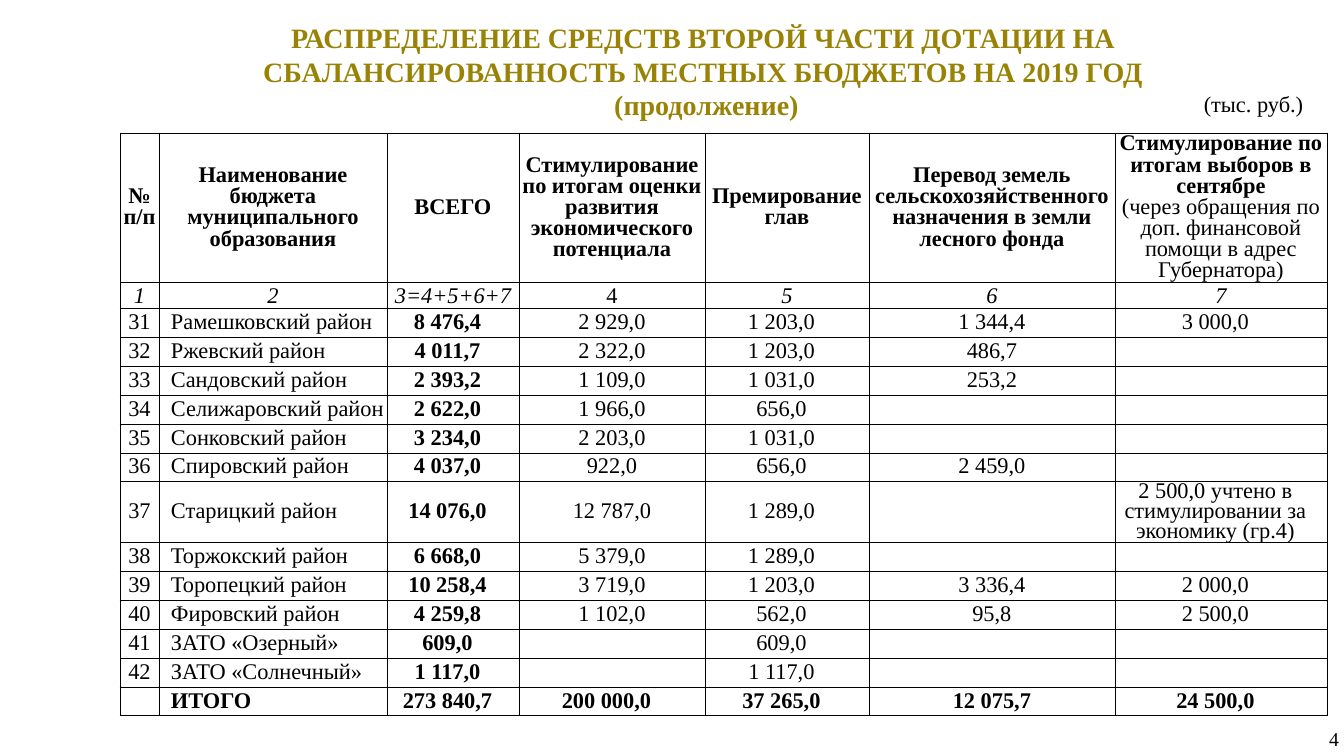
from lxml.etree import SubElement as Sub
from pptx import Presentation
from pptx.dml.color import RGBColor
from pptx.enum.shapes import MSO_SHAPE as Shape
from pptx.enum.text import MSO_ANCHOR as Anchor, PP_ALIGN as Align
from pptx.oxml.ns import qn
from pptx.util import Emu, Pt

HEADS = [
    ["№ п/п"],
    ["Наименование бюджета муниципального образования"],
    ["ВСЕГО"],
    ["Стимулирование по итогам оценки развития экономического потенциала"],
    ["Премирование глав"],
    ["Перевод земель сельскохозяйственного назначения в земли лесного фонда"],
    ["Стимулирование по итогам выборов в сентябре",
     "(через обращения по доп. финансовой помощи в адрес Губернатора)"],
]
MARKS = ["1", "2", "3=4+5+6+7", "4", "5", "6", "7"]
NOTE = "2 500,0 учтено в стимулировании за экономику (гр.4)"
ROWS = [
    ["31", "Рамешковский район", "8 476,4", "2 929,0", "1 203,0", "1 344,4", "3 000,0"],
    ["32", "Ржевский район", "4 011,7", "2 322,0", "1 203,0", "486,7", ""],
    ["33", "Сандовский район", "2 393,2", "1 109,0", "1 031,0", "253,2", ""],
    ["34", "Селижаровский район", "2 622,0", "1 966,0", "656,0", "", ""],
    ["35", "Сонковский район", "3 234,0", "2 203,0", "1 031,0", "", ""],
    ["36", "Спировский район", "4 037,0", "922,0", "656,0", "2 459,0", ""],
    ["37", "Старицкий район", "14 076,0", "12 787,0", "1 289,0", "", NOTE],
    ["38", "Торжокский район", "6 668,0", "5 379,0", "1 289,0", "", ""],
    ["39", "Торопецкий район", "10 258,4", "3 719,0", "1 203,0", "3 336,4", "2 000,0"],
    ["40", "Фировский район", "4 259,8", "1 102,0", "562,0", "95,8", "2 500,0"],
    ["41", "ЗАТО «Озерный»", "609,0", "", "609,0", "", ""],
    ["42", "ЗАТО «Солнечный»", "1 117,0", "", "1 117,0", "", ""],
    ["", "ИТОГО", "273 840,7", "200 000,0", "37 265,0", "12 075,7", "24 500,0"],
]
WIDTHS = [39, 228, 132, 186, 164, 246, 212]
SIX = [29] * 5 + [28]
HEIGHTS = [149, 25] + SIX + [61] + SIX


def px(n):
    """Turn pixels into EMU."""
    return Emu(round(n * 914400 / 100.8))


def tint(code):
    """Turn a hex string into a colour."""
    return RGBColor.from_string(code)


class Deck:
    """Hold the style and the current slide."""

    face = "Times New Roman"
    ink = "000000"
    paper = "FFFFFF"
    gold = "998307"

    def __init__(self):
        """Open a deck with one title-only slide."""
        self.deck = Presentation()
        self.deck.slide_width, self.deck.slide_height = px(1344), px(756)
        self.slide = self.deck.slides.add_slide(self.deck.slide_layouts[5])

    def put(self, frame, lines, size, color=ink, align=Align.CENTER, lead=1.0):
        """Put lines of (text, bold, italic) into a frame as paragraphs."""
        for i, (text, bold, slant) in enumerate(lines):
            para = frame.add_paragraph() if i else frame.paragraphs[0]
            para.alignment, para.line_spacing = align, lead
            if not text:
                para._p.get_or_add_endParaRPr().set("sz", str(size * 100))
                continue
            run = para.add_run()
            run.text = text
            font = run.font
            font.name, font.size = self.face, Pt(size)
            font.bold, font.italic = bold, slant
            font.color.rgb = tint(color)

    def fit(self, frame, side):
        """Wrap the frame, centre it vertically and set its margins."""
        frame.word_wrap = True
        frame.vertical_anchor = Anchor.MIDDLE
        frame.margin_left = frame.margin_right = px(side)
        frame.margin_top = frame.margin_bottom = px(5)

    def title(self, box, lines):
        """Place and fill the title."""
        head = self.slide.shapes.title
        head.left, head.top, head.width, head.height = map(px, box)
        self.fit(head.text_frame, 14)
        self.put(head.text_frame, [(s, True, False) for s in lines], 20, self.gold)

    def label(self, box, text, size):
        """Add a plain white box with centred text."""
        rect = self.slide.shapes.add_shape(Shape.RECTANGLE, *map(px, box))
        rect.shadow.inherit = False
        rect.fill.solid()
        rect.fill.fore_color.rgb = tint(self.paper)
        rect.line.color.rgb = tint(self.paper)
        rect.line.width = Pt(1)
        self.fit(rect.text_frame, 5)
        self.put(rect.text_frame, [(text, False, False)], size)

    def note(self, box, text, size):
        """Add a text box aligned to the right."""
        frame = self.slide.shapes.add_textbox(*map(px, box)).text_frame
        self.fit(frame, 5)
        self.put(frame, [(text, False, False)], size, align=Align.RIGHT)

    def cell(self, cell, lines, left=1, right=1, **look):
        """Frame, fill and letter one table cell."""
        props = cell._tc.get_or_add_tcPr()
        for side in ("lnL", "lnR", "lnT", "lnB"):
            edge = Sub(props, qn("a:" + side), w=str(Pt(0.5)))
            Sub(Sub(edge, qn("a:solidFill")), qn("a:srgbClr"), val=self.ink)
        cell.fill.solid()
        cell.fill.fore_color.rgb = tint(self.paper)
        cell.vertical_anchor = Anchor.MIDDLE
        cell.margin_left, cell.margin_right = px(left), px(right)
        cell.margin_top, cell.margin_bottom = px(1), px(0)
        self.put(cell.text_frame, lines, 16, **look)

    def grid(self, x, y):
        """Add the table of grants."""
        box = map(px, (x, y, sum(WIDTHS), sum(HEIGHTS)))
        table = self.slide.shapes.add_table(len(HEIGHTS), len(WIDTHS), *box).table
        table.first_row = table.horz_banding = False
        for col, width in zip(table.columns, WIDTHS):
            col.width = px(width)
        for row, height in zip(table.rows, HEIGHTS):
            row.height = px(height)
        for c, (head, mark) in enumerate(zip(HEADS, MARKS)):
            lines = [(s, i == 0, False) for i, s in enumerate(head)]
            self.cell(table.cell(0, c), lines, lead=0.85)
            self.cell(table.cell(1, c), [(mark, False, mark != "4")])
        for r, row in enumerate(ROWS, 2):
            last = row is ROWS[-1]
            for c, text in enumerate(row):
                shift = c in (2, 4, 6) or (last and c == 3)
                self.cell(
                    table.cell(r, c), [(text, last or c == 2, False)],
                    left=12 if c == 1 else 1, right=12 if shift else 1,
                    align=Align.LEFT if c == 1 else Align.CENTER,
                    lead=0.8 if text == NOTE else 0.85)


def main():
    """Build the slide and save it."""
    show = Deck()
    show.title((97, 34, 1212, 74), [
        "РАСПРЕДЕЛЕНИЕ СРЕДСТВ ВТОРОЙ ЧАСТИ ДОТАЦИИ НА "
        "СБАЛАНСИРОВАННОСТЬ МЕСТНЫХ БЮДЖЕТОВ НА 2019 ГОД",
        " (продолжение)"])
    show.grid(120, 133)
    show.label((1192, 87, 123, 33), "(тыс. руб.)", 16)
    show.note((1302, 719, 42, 40), "4", 14)
    show.deck.save("out.pptx")


if __name__ == "__main__":
    main()
